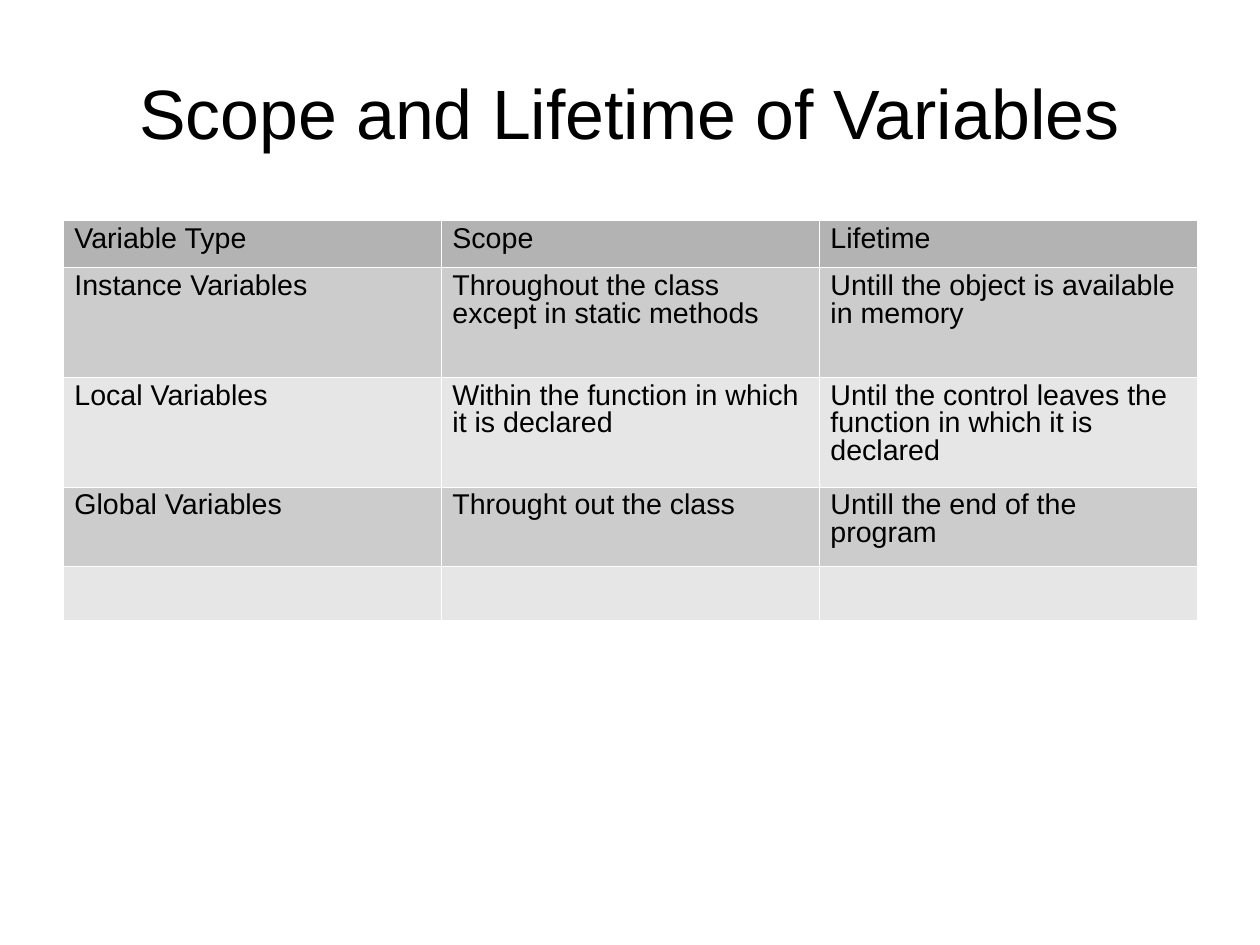
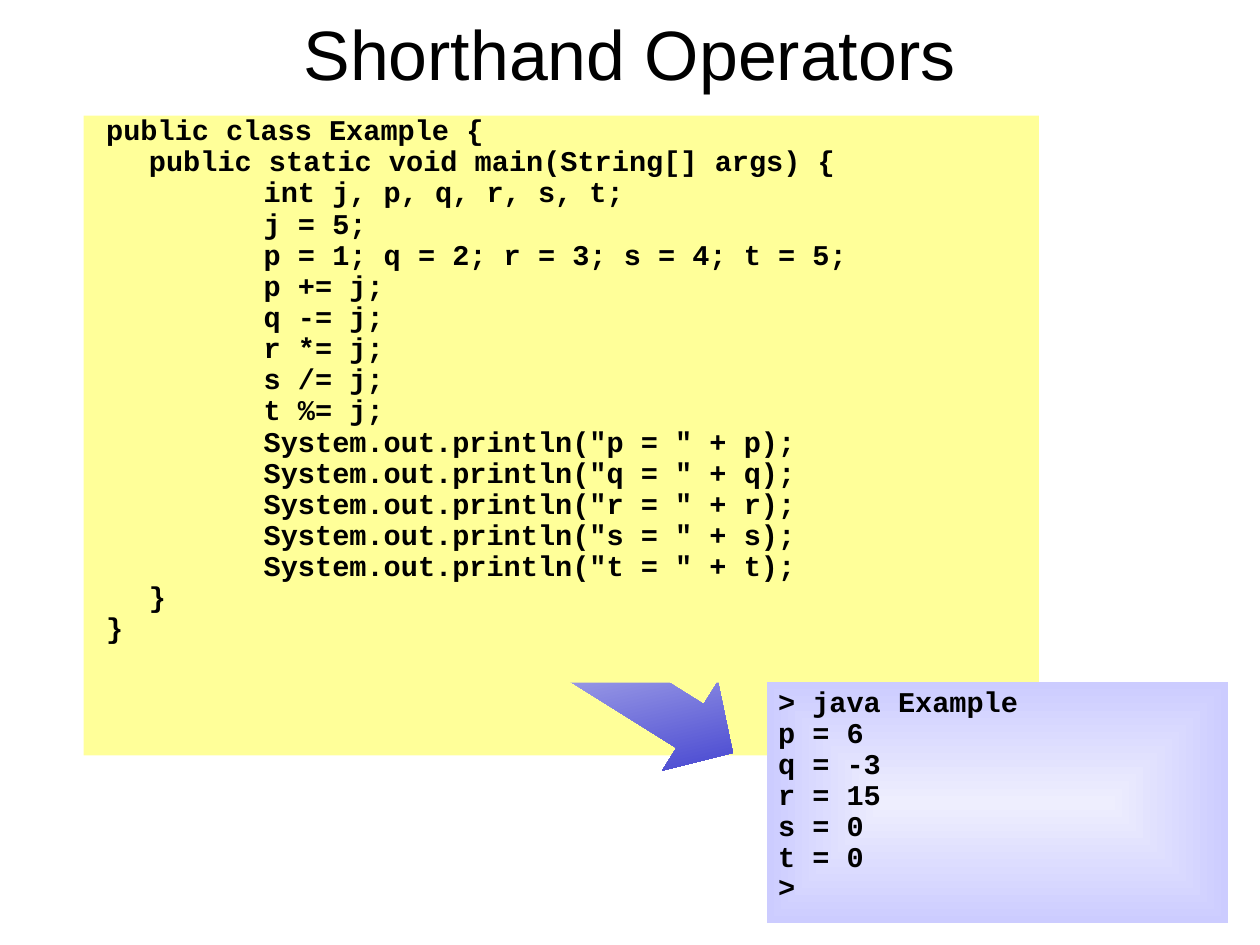
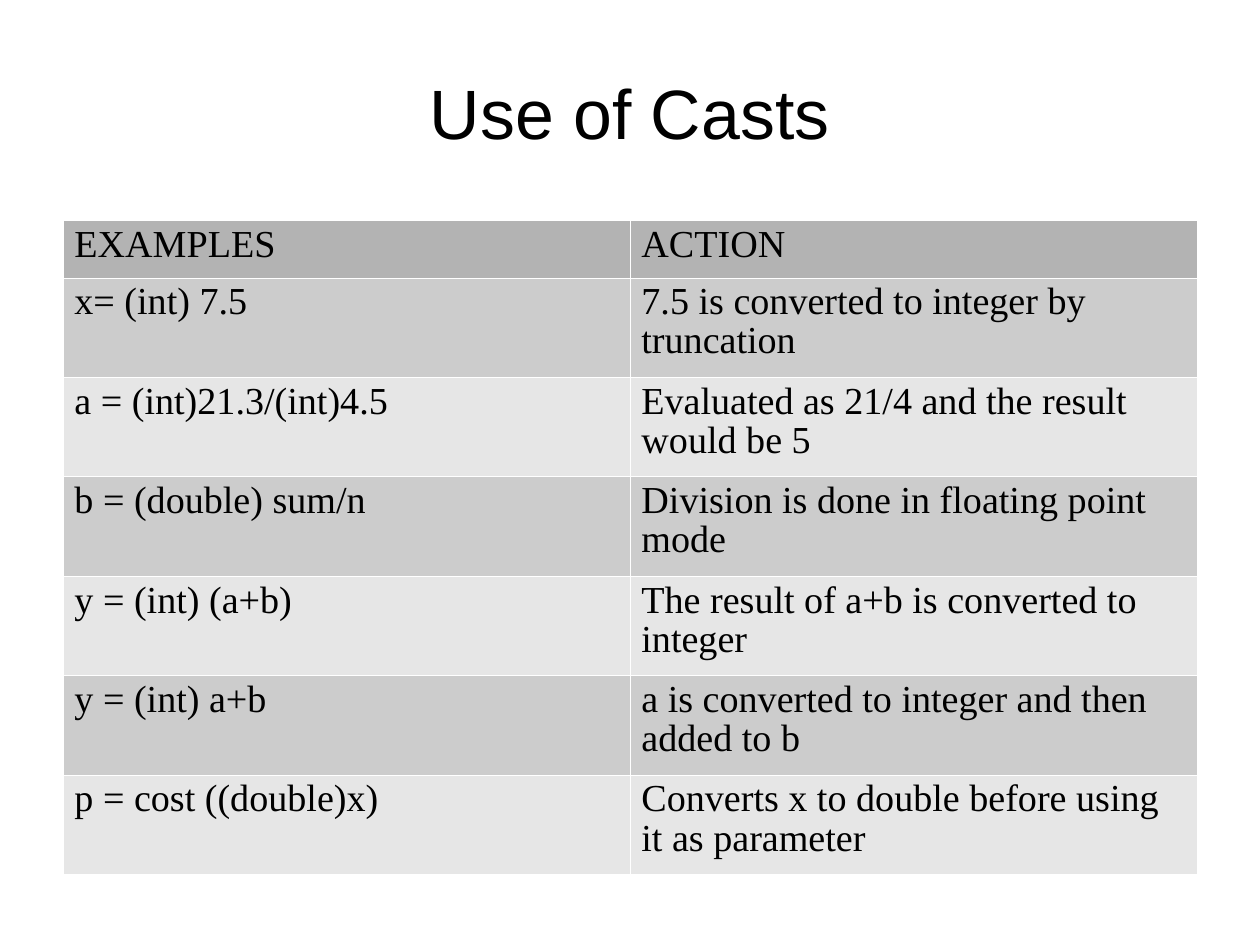
import pptx
import pptx.util
import pptx.dml.color
import pptx.enum.shapes
import pptx.enum.text
import pptx.oxml
import pptx.oxml.ns
import lxml.etree

Cm, Pt = pptx.util.Cm, pptx.util.Pt
MSO = pptx.enum.shapes.MSO_SHAPE
ALIGN = pptx.enum.text.PP_ALIGN
ANCHOR = pptx.enum.text.MSO_ANCHOR
FIT = pptx.enum.text.MSO_AUTO_SIZE

HUES = {
    "ink": "000000", "rule": "FFFFFF",
    "head": "B3B3B3", "odd": "CCCCCC", "even": "E6E6E6",
    "code": "FFFF99", "pale": "FEFEFE", "blue": "3333CC",
    "glow": "EEEEFE", "lilac": "CCCCFF",
}

# Text formats: paragraph attributes and font attributes
TITLE = ({"alignment": ALIGN.CENTER, "line_spacing": 0.93},
         {"name": "Arial", "size": Pt(44), "bold": False})
MONO = {"name": "Courier New", "size": Pt(18), "bold": True}
CODE = ({"alignment": ALIGN.LEFT, "line_spacing": 0.7, "space_before": Pt(4.5)}, MONO)
SHELL = ({"alignment": ALIGN.LEFT, "line_spacing": 0.9}, MONO)
SCOPE = ({"line_spacing": 0.87}, {"name": "Arial", "size": Pt(18), "bold": False})
CAST = ({"line_spacing": 0.93},
        {"name": "Times New Roman", "size": Pt(24), "bold": False})

# Boxes: left, top, width, height in cm
TOP = (1.4, 0.84, 25.2, 3.5)
SLIM = (2.1, 0.45, 23.8, 1.63)
GRID = (1.4, 4.9, 25.2)

STEPS = (0, 0.95, 3.5)  # code indent by level, in cm

SCOPES = [
    ("Variable Type", "Scope", "Lifetime"),
    ("Instance Variables", "Throughout the class except in static methods",
     "Untill the object is available in memory"),
    ("Local Variables", "Within the function in which it is declared",
     "Until the control leaves the function in which it is declared"),
    ("Global Variables", "Throught out the class", "Untill the end of the program"),
    ("", "", ""),
]

CASTS = [
    ("EXAMPLES", "ACTION"),
    ("x= (int) 7.5", "7.5 is converted to integer by\ntruncation"),
    ("a = (int)21.3/(int)4.5", "Evaluated as 21/4 and the result\nwould be 5"),
    ("b = (double) sum/n", "Division is done in floating point\nmode"),
    ("y = (int) (a+b)", "The result of a+b is converted to\ninteger"),
    ("y = (int) a+b", "a is converted to integer and then\nadded to b"),
    ("p = cost ((double)x)", "Converts x to double before using\nit as parameter"),
]

LINES = [
    (0, "public class Example {"),
    (1, "public static void main(String[] args) {"),
    (2, "int j, p, q, r, s, t;"),
    (2, "j = 5;"),
    (2, "p = 1; q = 2; r = 3; s = 4; t = 5;"),
    *[(2, f"{name} {sign}= j;") for name, sign in zip("pqrst", "+-*/%")],
    *[(2, f'System.out.println("{name} = " + {name});') for name in "pqrst"],
    (1, "}"),
    (0, "}"),
]

RESULT = "> java Example\np = 6\nq = -3\nr = 15\ns = 0\nt = 0\n>"


def hue(name):
    return pptx.dml.color.RGBColor.from_string(HUES[name])


def apply(obj, vals):
    for key, val in vals.items():
        setattr(obj, key, val)


def place(shape, box):
    apply(shape, dict(zip(("left", "top", "width", "height"), map(Cm, box))))


def write(frame, text, look):
    """Fill a text frame with one formatted paragraph per line."""
    frame.text = text
    for par in frame.paragraphs:
        apply(par, look[0])
        for font in (par.font, *[run.font for run in par.runs]):
            apply(font, look[1])
            font.color.rgb = hue("ink")
    if "space_before" in look[0]:
        frame.paragraphs[0].space_before = Pt(0)


def inset(frame, side, edge):
    apply(frame, {"margin_left": Cm(side), "margin_right": Cm(side),
                  "margin_top": Cm(edge), "margin_bottom": Cm(edge),
                  "word_wrap": True, "auto_size": FIT.NONE})


def start(deck, layout, text, box):
    """Add a slide with the shared title style."""
    slide = deck.slides.add_slide(deck.slide_layouts[layout])
    title = slide.shapes.title
    place(title, box)
    write(title.text_frame, text, TITLE)
    inset(title.text_frame, 0, 0)
    title.text_frame.vertical_anchor = ANCHOR.MIDDLE
    return slide


def block(slide, kind, box):
    """Add a plain shape without line or shadow."""
    shape = slide.shapes.add_shape(kind, *map(Cm, box))
    shape.shadow.inherit = False
    shape.line.fill.background()
    return shape


def panel(slide, box):
    shape = block(slide, MSO.RECTANGLE, box)
    shape.fill.solid()
    shape.fill.fore_color.rgb = hue("code")


def blend(shape, first, last):
    shape.fill.gradient()
    for stop, name, pos in zip(shape.fill.gradient_stops, (first, last), (0, 1)):
        stop.color.rgb = hue(name)
        stop.position = pos


def border(cell):
    props = cell._tc.get_or_add_tcPr()
    space = pptx.oxml.ns.nsdecls("a")
    for n, side in enumerate(("lnL", "lnR", "lnT", "lnB")):
        props.insert(n, pptx.oxml.parse_xml(
            f'<a:{side} {space} w="{Pt(0.06)}"><a:solidFill>'
            f'<a:srgbClr val="{HUES["rule"]}"/></a:solidFill></a:{side}>'))


def sheet(slide, box, rows, highs, look):
    """Add a banded table; its columns share the width equally."""
    left, top, width = box
    cols = len(rows[0])
    table = slide.shapes.add_table(len(rows), cols, Cm(left), Cm(top),
                                   Cm(width), Cm(sum(highs))).table
    apply(table, {"first_row": False, "horz_banding": False})
    for col in table.columns:
        col.width = Cm(width / cols)
    for r, (row, high) in enumerate(zip(rows, highs)):
        table.rows[r].height = Cm(high)
        tone = "head" if r == 0 else "odd" if r % 2 else "even"
        for c, text in enumerate(row):
            cell = table.cell(r, c)
            write(cell.text_frame, text, look)
            cell.fill.solid()
            cell.fill.fore_color.rgb = hue(tone)
            border(cell)


def listing(slide, box):
    """Put the code in the body placeholder, in front of its panel."""
    left, top, wide, high = box
    panel(slide, box)

    # Arrow, whose tail goes under the inner panel
    arrow = block(slide, MSO.RIGHT_ARROW, (left + 8.18, top + 11.2, 6.76, 2.34))
    arrow.rotation = 32
    arrow.adjustments[0], arrow.adjustments[1] = 0.49, 0.48
    blend(arrow, "pale", "blue")
    arrow.fill.gradient_angle = 315
    panel(slide, (left + 2.57, top + 1.63, wide - 2.57, 10.97))

    # Code text
    body = slide.placeholders[1]
    slide.shapes._spTree.append(body._element)
    place(body, (left + 0.25, top, wide + 0.23, high - 1.17))
    frame = body.text_frame
    inset(frame, 0.25, 0.13)
    frame.vertical_anchor = ANCHOR.TOP
    frame.text = "\n".join(text for _, text in LINES)
    for par, (level, _) in zip(frame.paragraphs, LINES):
        props = par._p.get_or_add_pPr()
        props.set("marL", str(Cm(STEPS[level])))
        props.set("indent", "0")
        lxml.etree.SubElement(props, pptx.oxml.ns.qn("a:buNone"))
    write_code = "\n".join(text for _, text in LINES)
    style(frame, CODE, write_code)


def style(frame, look, text):
    """Format paragraphs that already hold the given lines."""
    for n, (par, _) in enumerate(zip(frame.paragraphs, text.split("\n"))):
        apply(par, look[0])
        if n == 0:
            par.space_before = Pt(0)
        for run in par.runs:
            apply(run.font, look[1])
            run.font.color.rgb = hue("ink")


def console(slide, box):
    """Show the program's output on a glowing panel."""
    shape = block(slide, MSO.RECTANGLE, box)
    blend(shape, "glow", "lilac")
    fill = shape._element.spPr.find(pptx.oxml.ns.qn("a:gradFill"))
    fill.replace(fill.find(pptx.oxml.ns.qn("a:lin")), pptx.oxml.parse_xml(
        f'<a:path {pptx.oxml.ns.nsdecls("a")} path="rect">'
        '<a:fillToRect l="50000" t="50000" r="50000" b="50000"/></a:path>'))
    write(shape.text_frame, RESULT, SHELL)
    inset(shape.text_frame, 0.25, 0.13)
    shape.text_frame.vertical_anchor = ANCHOR.TOP


def main():
    deck = pptx.Presentation()
    deck.slide_width, deck.slide_height = Cm(28), Cm(21)

    # Scope table
    slide = start(deck, 5, "Scope and Lifetime of Variables", TOP)
    sheet(slide, GRID, SCOPES, (1.04, 2.44, 2.44, 1.75, 1.22), SCOPE)

    # Code and its output
    slide = start(deck, 1, "Shorthand Operators", SLIM)
    listing(slide, (1.86, 2.57, 21.23, 14.22))
    console(slide, (17.04, 15.16, 10.26, 5.36))

    # Cast table
    slide = start(deck, 5, "Use of Casts", TOP)
    sheet(slide, GRID, CASTS, [1.27] + [2.21] * 6, CAST)

    deck.save("out.pptx")


if __name__ == "__main__":
    main()
